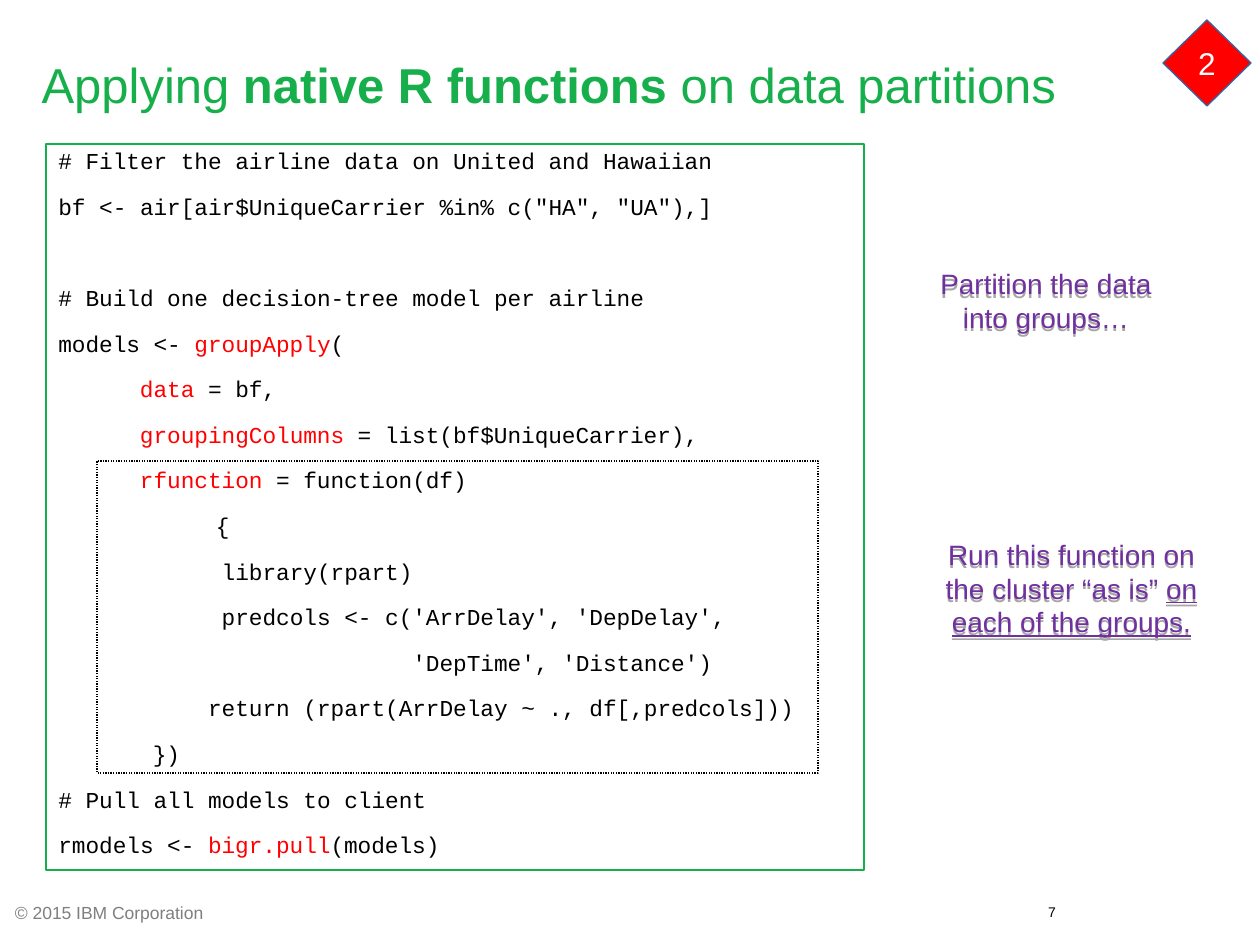
from lxml import etree
from pptx import Presentation
from pptx.dml.color import RGBColor
from pptx.enum.dml import MSO_LINE
from pptx.enum.shapes import MSO_SHAPE
from pptx.enum.text import MSO_ANCHOR, PP_ALIGN
from pptx.oxml.ns import qn
from pptx.util import Pt

PX = 7257.14  # EMU per pixel, 126 pixels to the inch
LEFT, CENTER, RIGHT = PP_ALIGN.LEFT, PP_ALIGN.CENTER, PP_ALIGN.RIGHT
TOP, MIDDLE, BOTTOM = MSO_ANCHOR.TOP, MSO_ANCHOR.MIDDLE, MSO_ANCHOR.BOTTOM
RECTANGLE, DIAMOND = MSO_SHAPE.RECTANGLE, MSO_SHAPE.DIAMOND
DOTTED = MSO_LINE.ROUND_DOT
GREEN, RED, BLACK, PURPLE = "17AF4B", "FF0000", "000000", "7030A0"


def rgb(value):
    return RGBColor.from_string(value)


def write(paragraph, text, size, color, font="Arial", align=LEFT, marked=None):
    """Add runs; the parts between bars take the font settings in marked."""
    paragraph.alignment = align
    for index, part in enumerate(text.split("|")):
        if not part:
            continue
        run = paragraph.add_run()
        run.text = part
        run.font.name = font
        run.font.size = Pt(size)
        settings = marked if marked and index % 2 else {}
        run.font.color.rgb = rgb(settings.get("color", color))
        run.font.bold = settings.get("bold", False)
        run.font.underline = settings.get("underline", False)


presentation = Presentation()
presentation.slide_width = round(1260 * PX)
presentation.slide_height = round(945 * PX)
slide = presentation.slides.add_slide(presentation.slide_layouts[5])
shapes = slide.shapes

# Title
title = shapes.title
title.left, title.top, title.width, title.height = [
    round(value * PX) for value in (29, 14, 1211, 106)]
title.text_frame.vertical_anchor = BOTTOM
title_paragraph = title.text_frame.paragraphs[0]
title_paragraph.line_spacing = 0.85
write(title_paragraph, "Applying |native R functions| on data partitions",
      28, GREEN, marked={"bold": True})

# Copyright line and page number
for box, text, size, color, align, inset in [
    ((15, 896, 314, 34), "© 2015 IBM Corporation", 10, "7F7F7F", LEFT, 0),
    ((1011, 897, 58, 35), "7", 8, BLACK, RIGHT, 13),
]:
    text_box = shapes.add_textbox(*[round(value * PX) for value in box])
    frame = text_box.text_frame
    frame.word_wrap = True
    frame.margin_left = frame.margin_right = round(inset * PX)
    write(frame.paragraphs[0], text, size, color, align=align)

# Frames, callouts and step marker: box, outline, fill, line, dash
drawn = []
for kind, box, fill, line, dash in [
    (RECTANGLE, (46, 144, 818, 726), None, GREEN, None),
    (RECTANGLE, (97, 461, 721, 312), None, BLACK, DOTTED),
    (RECTANGLE, (919, 260, 254, 81), None, None, None),
    (RECTANGLE, (921, 530, 301, 116), None, None, None),
    (DIAMOND, (1163, 20, 88, 86), RED, "3465A4", None),
]:
    shape = shapes.add_shape(kind, *[round(value * PX) for value in box])
    shape.shadow.inherit = False
    if fill:
        shape.fill.solid()
        shape.fill.fore_color.rgb = rgb(fill)
    else:
        shape.fill.background()
    if line:
        shape.line.color.rgb = rgb(line)
        shape.line.width = Pt(0.75)
        if dash:
            shape.line.dash_style = dash
    else:
        shape.line.fill.background()
    drawn.append(shape)
code_box, function_frame, partition_note, run_note, step_marker = drawn

# R code, red between bars
code = """\
# Filter the airline data on United and Hawaiian
bf <- air[air$UniqueCarrier %in% c("HA", "UA"),]

# Build one decision-tree model per airline
models <- |groupApply|(
      |data| = bf,
      |groupingColumns| = list(bf$UniqueCarrier),
      |rfunction| = function(df)
\t\t\t{
            library(rpart)
            predcols <- c('ArrDelay', 'DepDelay',
                          'DepTime', 'Distance')
           return (rpart(ArrDelay ~ ., df[,predcols]))
      \t})
# Pull all models to client
rmodels <- |bigr.pull|(models)"""
frame = code_box.text_frame
frame.vertical_anchor = TOP
paragraph = None
for line in code.split("\n"):
    if not line:
        paragraph.space_after = Pt(38)
        continue
    paragraph = frame.add_paragraph() if paragraph else frame.paragraphs[0]
    properties = paragraph._p.get_or_add_pPr()
    properties.set("marL", "228600")
    properties.set("indent", "-228600")
    paragraph.line_spacing = 0.9
    paragraph.space_after = Pt(12)
    write(paragraph, line, 13, BLACK, "Courier New", marked={"color": RED})

# Callouts with shadowed text
for note, text in [
    (partition_note, "Partition the data into groups…"),
    (run_note, "Run this function on the cluster “as is” |on each of the groups.|"),
]:
    note.text_frame.vertical_anchor = MIDDLE
    write(note.text_frame.paragraphs[0], text, 16, PURPLE, align=CENTER,
          marked={"underline": True})
    effects = note._element.spPr.find(qn("a:effectLst"))
    shadow = etree.SubElement(effects, qn("a:outerShdw"), blurRad="0",
                              dist="22860", dir="5400000", rotWithShape="0")
    shadow_color = etree.SubElement(shadow, qn("a:srgbClr"), val=BLACK)
    etree.SubElement(shadow_color, qn("a:alpha"), val="35000")

# Step number
step_marker.text_frame.vertical_anchor = MIDDLE
step_marker.text_frame.word_wrap = False
write(step_marker.text_frame.paragraphs[0], "2", 18, "FFFFFF", align=CENTER)

presentation.save("out.pptx")
